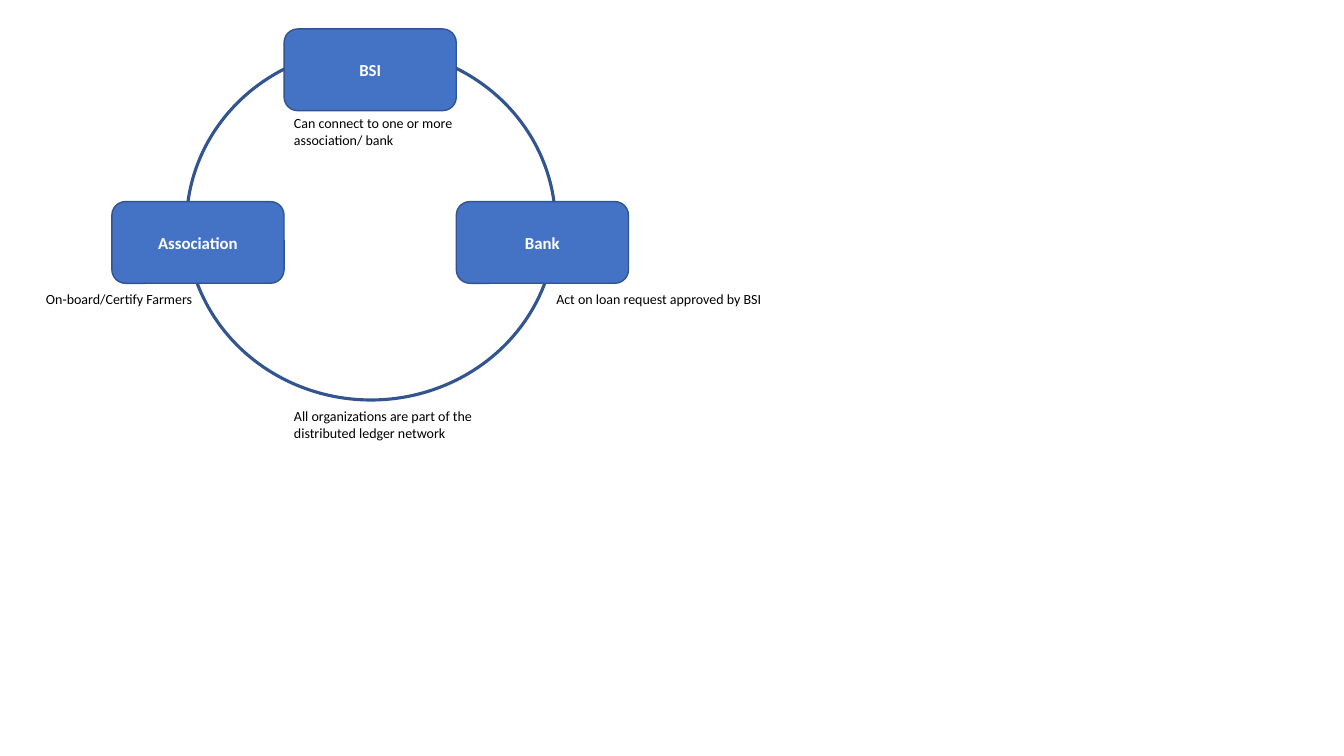
from pptx import Presentation
from pptx.dml.color import RGBColor
from pptx.enum.shapes import MSO_SHAPE as Preset
from pptx.enum.text import MSO_ANCHOR as Anchor, MSO_AUTO_SIZE as AutoSize, PP_ALIGN as Align
from pptx.util import Cm, Pt

BLUE, DARK_BLUE, WHITE, BLACK = "4472C4", "325491", "FFFFFF", "000000"


def color(hex_text):
    """Turn a hex string into a colour."""
    return RGBColor.from_string(hex_text)


class NetworkSlide:
    """Holds the style and the current slide."""

    label_format = {"name": "Calibri", "size": Pt(12), "bold": True}
    note_format = {"name": "Calibri", "size": Pt(10), "bold": False}

    def __init__(self, deck):
        """Add a blank slide to the deck."""
        self.slide = deck.slides.add_slide(deck.slide_layouts[6])

    def shape(self, preset, left, top, width, height, line_width, fill=None):
        """Add an outlined shape, hollow unless a fill is given."""
        shape = self.slide.shapes.add_shape(
            preset, Cm(left), Cm(top), Cm(width), Cm(height))
        shape.shadow.inherit = False
        if fill:
            shape.fill.solid()
            shape.fill.fore_color.rgb = color(fill)
        else:
            shape.fill.background()
        shape.line.color.rgb = color(DARK_BLUE)
        shape.line.width = Pt(line_width)
        return shape

    def add_text(self, frame, text, font_format, font_color, align):
        """Put one formatted paragraph into a text frame."""
        frame.word_wrap = True
        para = frame.paragraphs[0]
        para.alignment = align
        span = para.add_run()
        span.text = text
        for name, value in font_format.items():
            setattr(span.font, name, value)
        span.font.color.rgb = color(font_color)

    def ring(self, left, top, width, height):
        """Add the ring that joins the organizations."""
        self.shape(Preset.OVAL, left, top, width, height, 2.25)

    def organization(self, text, left, top, width, height):
        """Add a rounded box naming an organization."""
        box = self.shape(Preset.ROUNDED_RECTANGLE, left, top, width, height, 1, BLUE)
        box.text_frame.vertical_anchor = Anchor.MIDDLE
        self.add_text(box.text_frame, text, self.label_format, WHITE, Align.CENTER)

    def note(self, text, left, top, height, width=5.72):
        """Add a small explanatory text."""
        box = self.slide.shapes.add_textbox(Cm(left), Cm(top), Cm(width), Cm(height))
        self.add_text(box.text_frame, text, self.note_format, BLACK, Align.LEFT)
        box.text_frame.auto_size = AutoSize.SHAPE_TO_FIT_TEXT


deck = Presentation()
deck.slide_width, deck.slide_height = Cm(33.87), Cm(19.05)
page = NetworkSlide(deck)

box_width, box_height = 4.34, 2.06
first_left, upper_top, lower_top = 2.82, 0.73, 5.08
middle_left = first_left + box_width

page.ring(4.7, 1.22, 9.3, 8.86)
organizations = [("Association", lower_top), ("BSI", upper_top), ("Bank", lower_top)]
for column, (name, top) in enumerate(organizations):
    page.organization(name, first_left + column * box_width, top, box_width, box_height)

notes = [
    ("On-board/Certify Farmers", 0.91, 7.2, 0.68),
    ("Can connect to one or more association/ bank", middle_left, 2.77, 1.1),
    ("Act on loan request approved by BSI", 13.77, 7.2, 0.68),
    ("All organizations are part of the distributed ledger network",
     middle_left, 10.15, 1.1),
]
for note in notes:
    page.note(*note)

deck.save("out.pptx")
